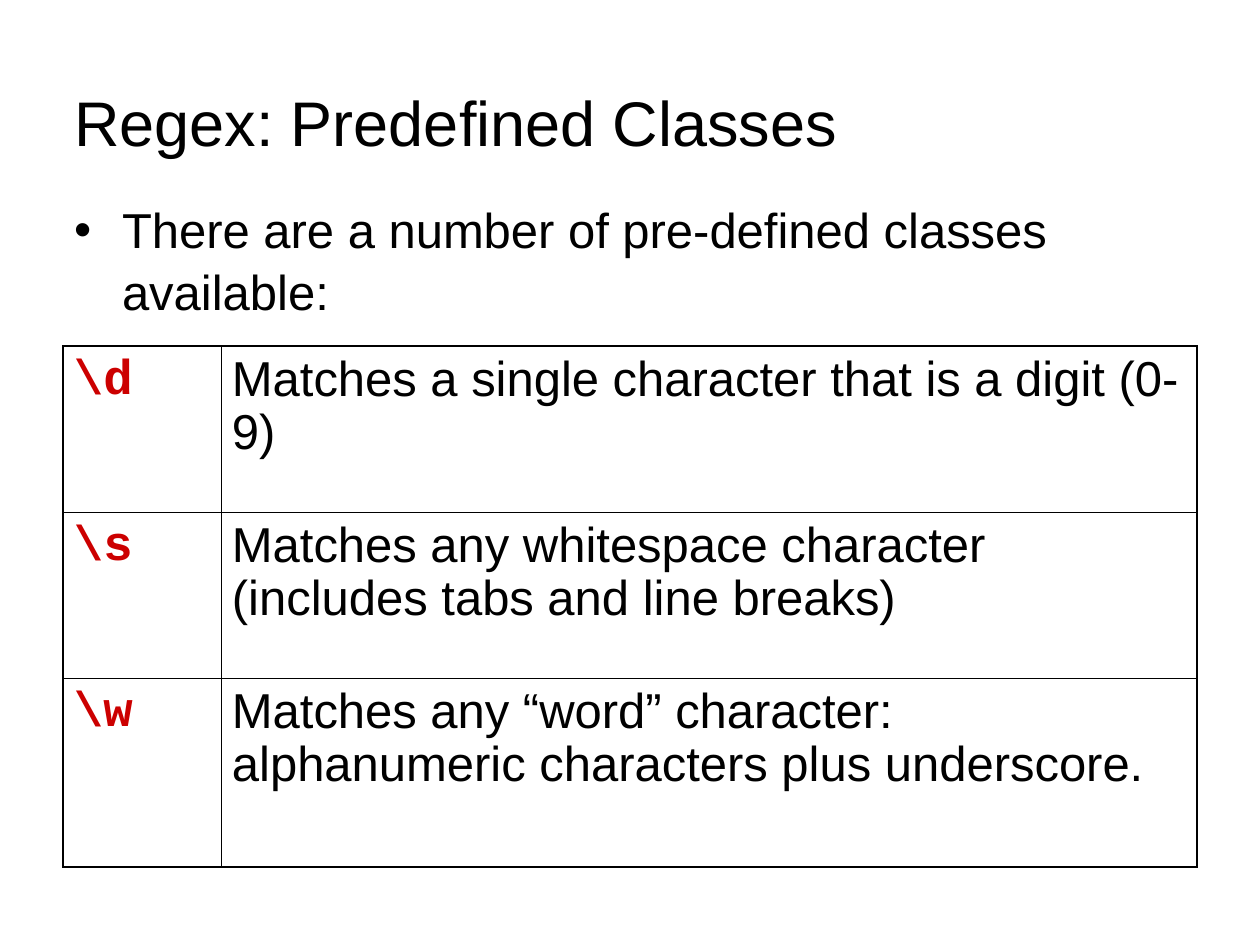
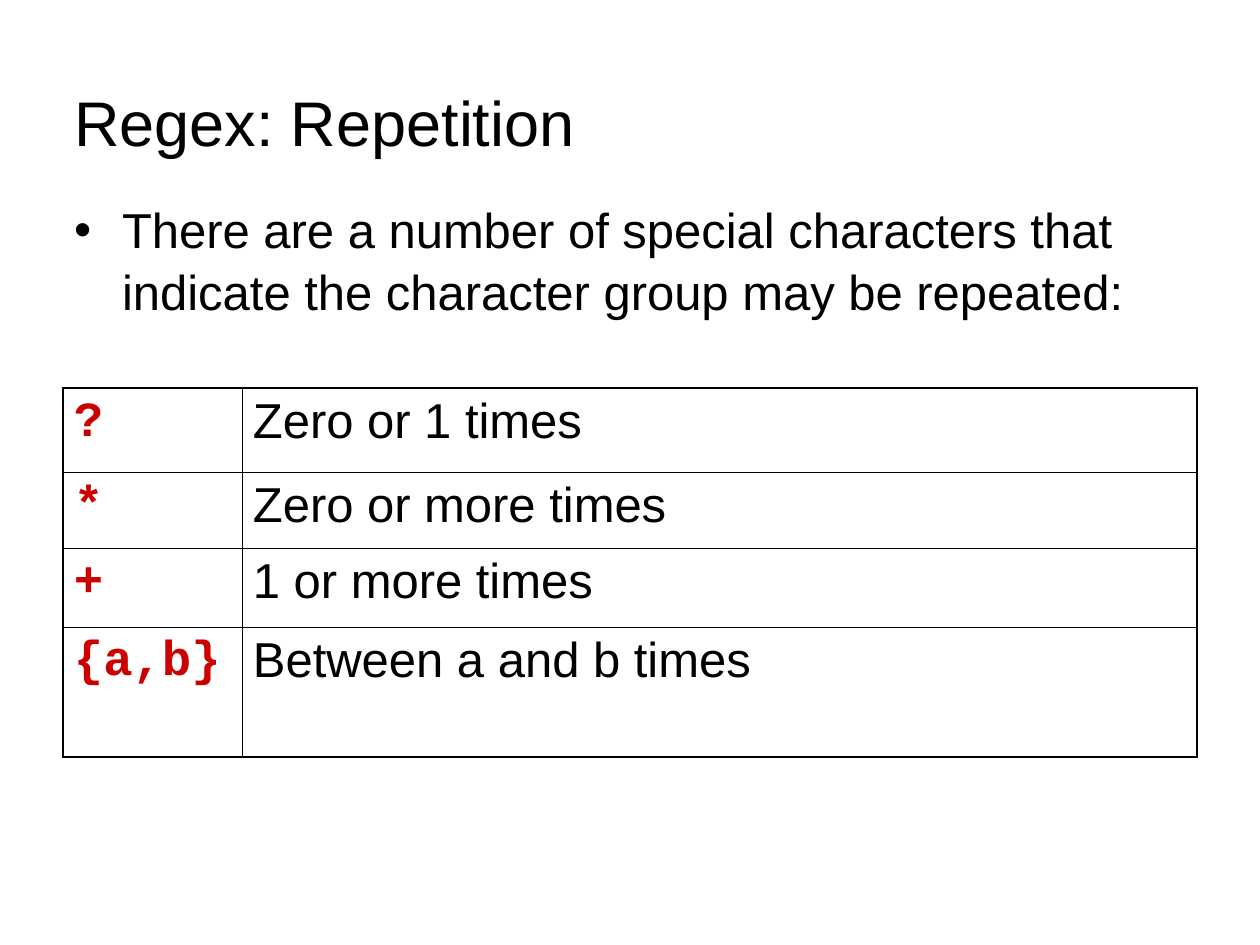
from dataclasses import dataclass

from lxml.etree import SubElement
from pptx import Presentation
from pptx.dml.color import RGBColor
from pptx.enum.text import MSO_ANCHOR, MSO_AUTO_SIZE, PP_ALIGN
from pptx.oxml.ns import qn
from pptx.util import Emu, Pt

SLIDES = [
    {
        "title": "Regex: Predefined Classes",
        "intro": "There are a number of pre-defined classes available:",
        "table_top": 346,
        "code_width": 158,
        "row_heights": [166, 166, 189],
        "entries": [
            ("\\d", "Matches a single character that is a digit (0-9)"),
            ("\\s", "Matches any whitespace character (includes tabs and line breaks)"),
            ("\\w", "Matches any “word” character: alphanumeric characters plus underscore."),
        ],
    },
    {
        "title": "Regex: Repetition",
        "intro": "There are a number of special characters that indicate the character group may be repeated:",
        "table_top": 388,
        "code_width": 179,
        "row_heights": [84, 76, 79, 130],
        "entries": [
            ("?", "Zero or 1 times"),
            ("*", "Zero or more times"),
            ("+", "1 or more times"),
            ("{a,b}", "Between a and b times"),
        ],
    },
]


@dataclass(frozen=True)
class Theme:
    ink: str = "000000"
    code: str = "CC0000"
    text_font: str = "Arial"
    code_font: str = "Courier New"
    title_size: int = 36
    text_size: int = 28
    space_before: int = 7
    intro_spacing: float = 1.05
    table_spacing: float = 0.97
    outer_border: float = 1.08
    inner_border: float = 0.45


THEME = Theme()
PX_PER_INCH = 126
SLIDE_SIZE = (1260, 945)
LEFT, WIDTH = 63, 1134
TITLE_BOX = (LEFT, 38, WIDTH, 157)
INTRO_BOX = (LEFT, 189, WIDTH, 136)
SIDE_INSET = 11
TITLE_INSETS = (13, 4)
TEXT_INSETS = (8, 6)
HANGING_INDENT = 48


def px(length):
    return Emu(round(length * 914400 / PX_PER_INCH))


def set_insets(target, top, bottom):
    target.margin_left = target.margin_right = px(SIDE_INSET)
    target.margin_top, target.margin_bottom = px(top), px(bottom)


def write(paragraph, text, size, spacing, font=THEME.text_font, color=THEME.ink, bold=False):
    paragraph.alignment = PP_ALIGN.LEFT
    paragraph.line_spacing = spacing
    run = paragraph.add_run()
    run.text = text
    run.font.name = font
    run.font.size = Pt(size)
    run.font.bold = bold
    run.font.color.rgb = RGBColor.from_string(color)


def place(shape, box, insets, anchor):
    shape.left, shape.top, shape.width, shape.height = map(px, box)
    frame = shape.text_frame
    frame.word_wrap = True
    frame.auto_size = MSO_AUTO_SIZE.NONE
    frame.vertical_anchor = anchor
    set_insets(frame, *insets)
    return frame.paragraphs[0]


def add_bullet(paragraph):
    properties = paragraph._p.get_or_add_pPr()
    properties.set("marL", str(px(HANGING_INDENT)))
    properties.set("indent", str(-px(HANGING_INDENT)))
    color = SubElement(properties, qn("a:buClr"))
    SubElement(color, qn("a:srgbClr"), val=THEME.ink)
    SubElement(properties, qn("a:buFont"), typeface=THEME.text_font)
    SubElement(properties, qn("a:buChar"), char="•")


def set_borders(cell, outer_sides):
    properties = cell._tc.get_or_add_tcPr()
    for side in "LRTB":
        width = THEME.outer_border if side in outer_sides else THEME.inner_border
        line = SubElement(properties, qn(f"a:ln{side}"), w=str(Pt(width)))
        fill = SubElement(line, qn("a:solidFill"))
        SubElement(fill, qn("a:srgbClr"), val=THEME.ink)


def add_reference_table(slide, content):
    entries, heights = content["entries"], content["row_heights"]
    box = (LEFT, content["table_top"], WIDTH, sum(heights))
    table = slide.shapes.add_table(len(entries), 2, *map(px, box)).table
    table.first_row = table.horz_banding = False
    code_width = content["code_width"]
    for column, width in zip(table.columns, (code_width, WIDTH - code_width)):
        column.width = px(width)
    styles = (
        {"font": THEME.code_font, "color": THEME.code, "bold": True},
        {},
    )
    last = len(entries) - 1
    for row, (entry, height) in enumerate(zip(entries, heights)):
        table.rows[row].height = px(height)
        for column, (text, style) in enumerate(zip(entry, styles)):
            cell = table.cell(row, column)
            set_insets(cell, *TEXT_INSETS)
            set_borders(cell, "LR"[column] + "T" * (row == 0) + "B" * (row == last))
            cell.fill.background()
            paragraph = cell.text_frame.paragraphs[0]
            paragraph.space_before = Pt(THEME.space_before)
            write(paragraph, text, THEME.text_size, THEME.table_spacing, **style)


def add_slide(presentation, content):
    slide = presentation.slides.add_slide(presentation.slide_layouts[1])
    title = place(slide.shapes.title, TITLE_BOX, TITLE_INSETS, MSO_ANCHOR.MIDDLE)
    write(title, content["title"], THEME.title_size, 1.0)
    intro = place(slide.placeholders[1], INTRO_BOX, TEXT_INSETS, MSO_ANCHOR.TOP)
    intro.space_before = Pt(THEME.space_before)
    write(intro, content["intro"], THEME.text_size, THEME.intro_spacing)
    add_bullet(intro)
    add_reference_table(slide, content)


def main():
    presentation = Presentation()
    presentation.slide_width, presentation.slide_height = map(px, SLIDE_SIZE)
    for content in SLIDES:
        add_slide(presentation, content)
    presentation.save("out.pptx")


if __name__ == "__main__":
    main()
